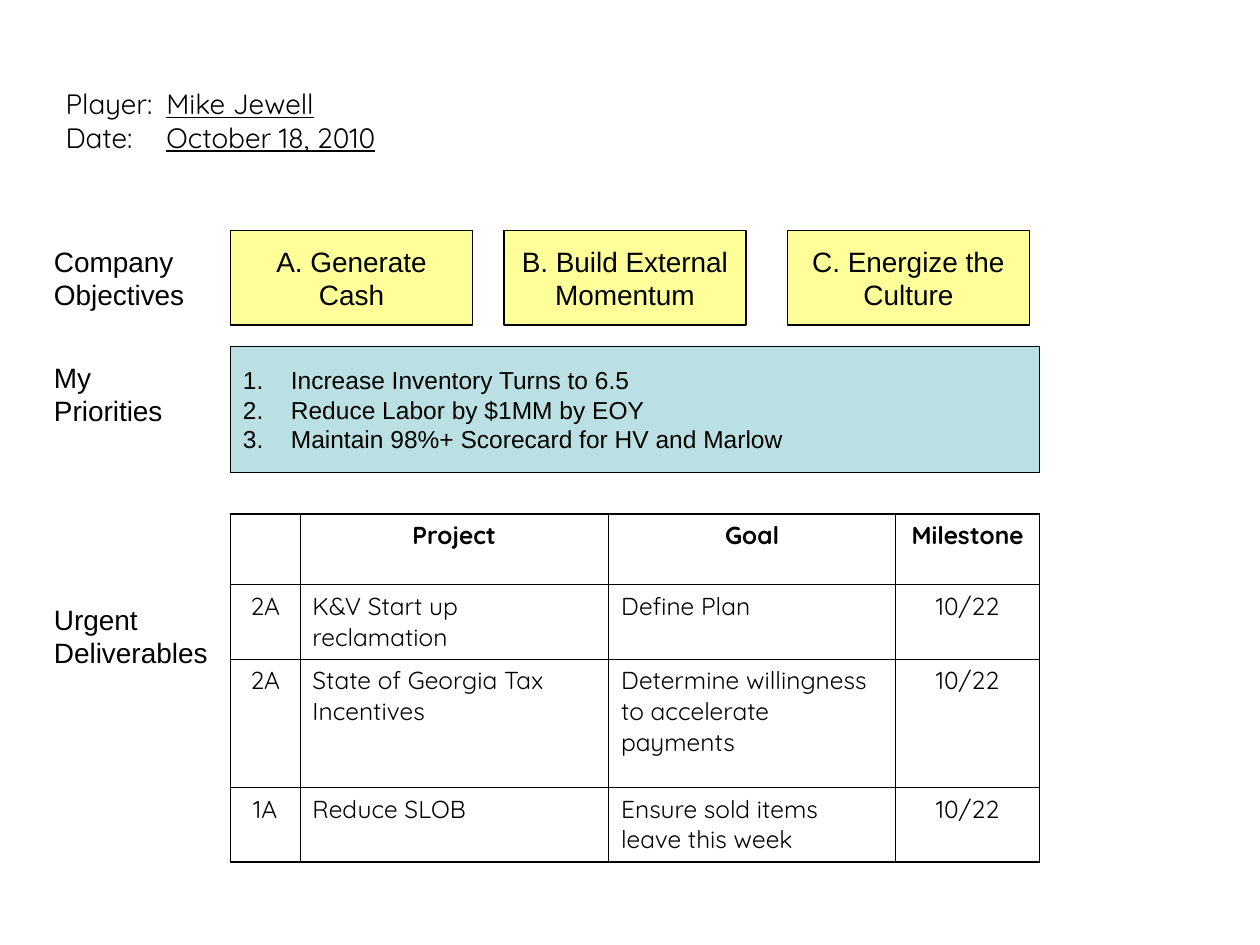
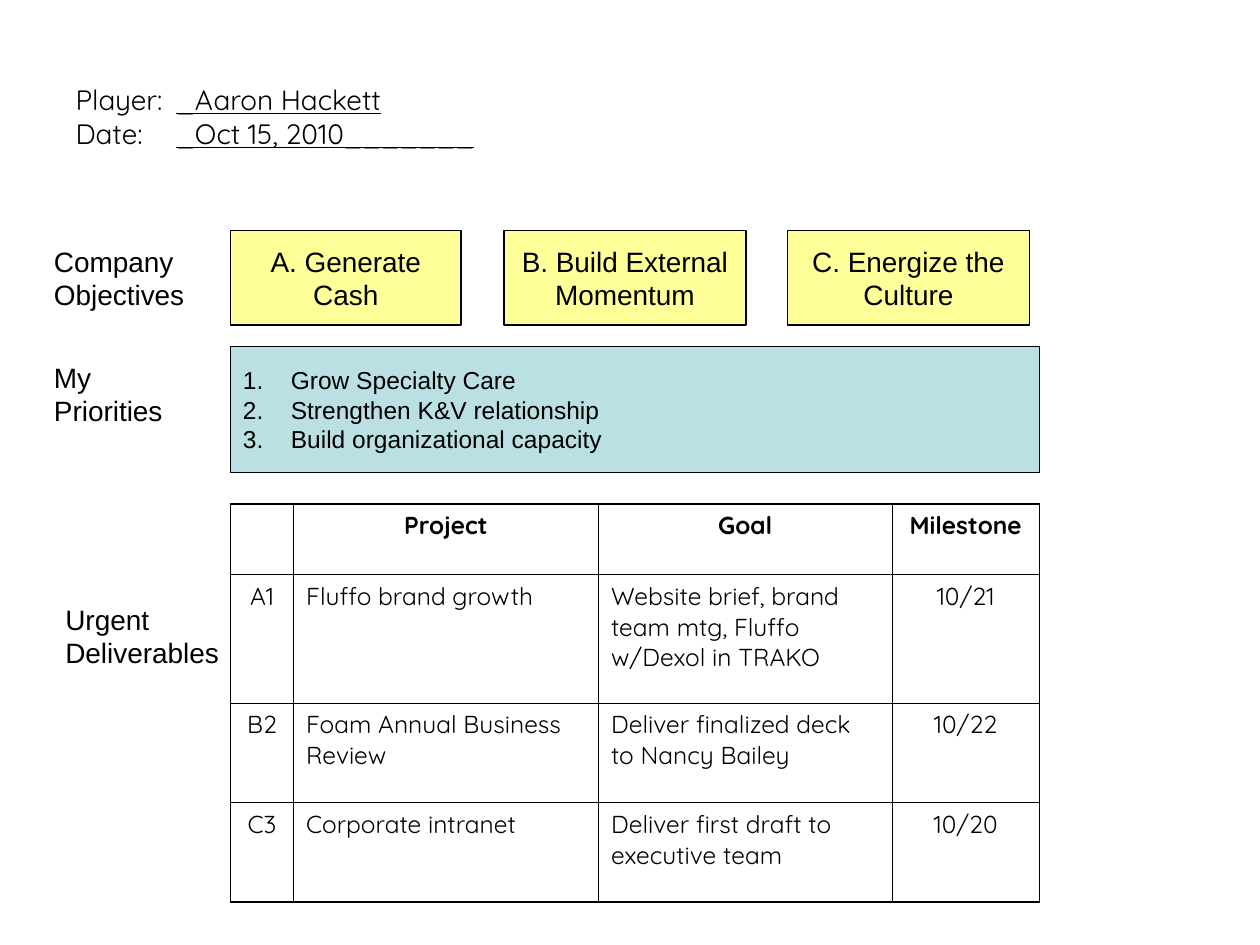
from dataclasses import dataclass

from lxml.etree import SubElement
from pptx import Presentation
from pptx.dml.color import RGBColor
from pptx.enum.shapes import MSO_SHAPE as Shape
from pptx.enum.text import MSO_ANCHOR as Anchor, MSO_AUTO_SIZE as AutoSize, PP_ALIGN as Align
from pptx.oxml import parse_xml
from pptx.oxml.ns import nsdecls, qn
from pptx.util import Inches, Pt


@dataclass(frozen=True)
class Theme:
    ink: RGBColor = RGBColor(0x00, 0x00, 0x00)
    objective_fill: RGBColor = RGBColor(0xFF, 0xFF, 0x99)
    priority_fill: RGBColor = RGBColor(0xBB, 0xE0, 0xE3)
    title_font: str = "Quicksand"
    box_font: str = "Arial"
    large: float = 16
    small: float = 14
    cell_gap: float = 3.5
    box_line: float = 0.75
    outer_line: float = 1.08
    inner_line: float = 0.45


class PlayerCard:
    def __init__(self, deck, theme):
        self.deck = deck
        self.theme = theme
        self.page = None

    def start_page(self):
        self.page = self.deck.slides.add_slide(self.deck.slide_layouts[5])

    def style(self, paragraph, font_name, size, align=Align.LEFT, bold=False):
        paragraph.alignment = align
        font = paragraph.font
        font.name, font.size, font.bold = font_name, Pt(size), bold
        font.color.rgb = self.theme.ink

    def title(self, left, top, fields):
        title = self.page.shapes.title
        title.left, title.top = Inches(left), Inches(top)
        title.width, title.height = Inches(9), Inches(1.25)
        frame = title.text_frame
        frame.vertical_anchor = Anchor.MIDDLE
        frame.auto_size = AutoSize.NONE
        para = frame.paragraphs[0]
        self.style(para, self.theme.title_font, self.theme.large)
        tabs = SubElement(para._p.get_or_add_pPr(), qn("a:tabLst"))
        SubElement(tabs, qn("a:tab"), pos=str(Inches(0.8)), algn="l")
        para._p.pPr.insert(0, tabs)
        for index, (name, value) in enumerate(fields):
            if index:
                para.add_line_break()
            para.add_run().text = f"{name}:\t"
            span = para.add_run()
            span.text = value
            span.font.underline = True

    def fill_text(self, box, lines, size, align=Align.LEFT):
        frame = box.text_frame
        frame.word_wrap = False
        frame.vertical_anchor = Anchor.MIDDLE
        frame.text = "\n".join(lines)
        for para in frame.paragraphs:
            self.style(para, self.theme.box_font, size, align)

    def label(self, left, top, lines):
        box = self.page.shapes.add_textbox(Inches(left), Inches(top), Inches(1.42), Inches(0.75))
        self.fill_text(box, lines, self.theme.large)

    def rectangle(self, left, top, width, height, fill):
        box = self.page.shapes.add_shape(
            Shape.RECTANGLE, Inches(left), Inches(top), Inches(width), Inches(height))
        box.shadow.inherit = False
        box.fill.solid()
        box.fill.fore_color.rgb = fill
        box.line.color.rgb = self.theme.ink
        box.line.width = Pt(self.theme.box_line)
        return box

    def objective(self, left, width, lines):
        box = self.rectangle(left, 1.83, width, 0.75, self.theme.objective_fill)
        self.fill_text(box, lines, self.theme.large, Align.CENTER)

    def priorities(self, lines):
        box = self.rectangle(1.83, 2.75, 6.42, 1, self.theme.priority_fill)
        self.fill_text(box, lines, self.theme.small)
        for para in box.text_frame.paragraphs:
            properties = para._p.get_or_add_pPr()
            properties.set("marL", str(Inches(0.38)))
            properties.set("indent", str(-Inches(0.38)))
            numbering = SubElement(properties, qn("a:buAutoNum"), type="arabicPeriod")
            properties.insert(0, numbering)

    def borders(self, cell, outer_sides):
        properties = cell._tc.get_or_add_tcPr()
        for index, side in enumerate("LRTB"):
            weight = self.theme.outer_line if side in outer_sides else self.theme.inner_line
            properties.insert(index, parse_xml(
                f'<a:ln{side} {nsdecls("a")} w="{Pt(weight)}"><a:solidFill>'
                f'<a:srgbClr val="{self.theme.ink}"/></a:solidFill></a:ln{side}>'))

    def deliverables(self, top, widths, heights, rows):
        rows = [("", "Project", "Goal", "Milestone"), *rows]
        last_row, last_column = len(rows) - 1, len(widths) - 1
        table = self.page.shapes.add_table(
            len(rows), len(widths), Inches(1.83), Inches(top),
            Inches(sum(widths)), Inches(sum(heights))).table
        table.first_row = table.horz_banding = False
        for column, width in zip(table.columns, widths):
            column.width = Inches(width)
        for r, (row, height, values) in enumerate(zip(table.rows, heights, rows)):
            row.height = Inches(height)
            for c, (cell, value) in enumerate(zip(row.cells, values)):
                cell.text = value
                centred = r == 0 or c in (0, last_column)
                para = cell.text_frame.paragraphs[0]
                para.space_before = Pt(self.theme.cell_gap)
                self.style(para, self.theme.title_font, self.theme.small,
                           Align.CENTER if centred else Align.LEFT, r == 0)
                cell.fill.background()
                edges = {"L": c == 0, "R": c == last_column, "T": r == 0, "B": r == last_row}
                self.borders(cell, [side for side, outer in edges.items() if outer])


OBJECTIVES = [
    (1.83, ("A. Generate", "Cash")),
    (4, ("B. Build External", "Momentum")),
    (6.25, ("C. Energize the", "Culture")),
]

PLAYERS = [
    {
        "title": (0.42, 0.33, [("Player", "Mike Jewell"), ("Date", "October 18, 2010")]),
        "first_width": 1.92,
        "urgent_left": 0.33,
        "priorities": [
            "Increase Inventory Turns to 6.5",
            "Reduce Labor by $1MM by EOY",
            "Maintain 98%+ Scorecard for HV and Marlow",
        ],
        "deliverables": (4.08, (0.55, 2.45, 2.28, 1.14), (0.56, 0.59, 1.02, 0.59), [
            ("2A", "K&V Start up reclamation", "Define Plan", "10/22"),
            ("2A", "State of Georgia Tax Incentives",
             "Determine willingness to accelerate payments", "10/22"),
            ("1A", "Reduce SLOB", "Ensure sold items leave this week", "10/22"),
        ]),
    },
    {
        "title": (0.5, 0.3, [("Player", "_Aaron Hackett"), ("Date", "_Oct 15, 2010_______")]),
        "first_width": 1.83,
        "urgent_left": 0.42,
        "priorities": [
            "Grow Specialty Care",
            "Strengthen K&V relationship",
            "Build organizational capacity",
        ],
        "deliverables": (4, (0.5, 2.42, 2.33, 1.17), (0.56, 1.02, 0.79, 0.79), [
            ("A1", "Fluffo brand growth",
             "Website brief, brand team mtg, Fluffo w/Dexol in TRAKO", "10/21"),
            ("B2", "Foam Annual Business Review",
             "Deliver finalized deck to Nancy Bailey", "10/22"),
            ("C3", "Corporate intranet", "Deliver first draft to executive team", "10/20"),
        ]),
    },
]


def main():
    deck = Presentation()
    deck.slide_width, deck.slide_height = Inches(10), Inches(7.5)
    card = PlayerCard(deck, Theme())
    for player in PLAYERS:
        card.start_page()
        card.title(*player["title"])
        card.label(0.33, 1.83, ("Company", "Objectives"))
        card.label(0.33, 2.75, ("My", "Priorities"))
        card.label(player["urgent_left"], 4.67, ("Urgent", "Deliverables"))
        for index, (left, lines) in enumerate(OBJECTIVES):
            card.objective(left, 1.92 if index else player["first_width"], lines)
        card.priorities(player["priorities"])
        card.deliverables(*player["deliverables"])
    deck.save("out.pptx")


if __name__ == "__main__":
    main()
